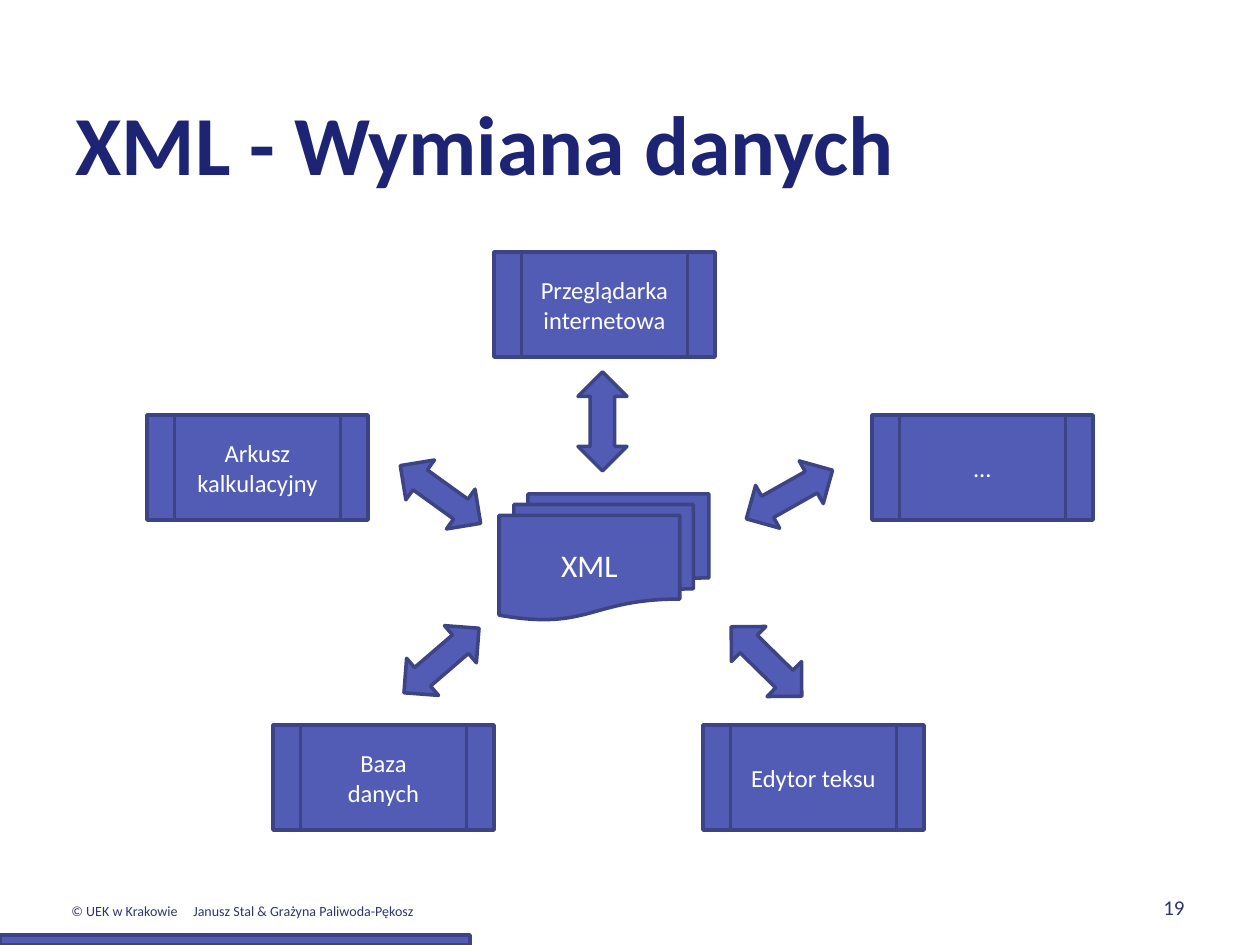
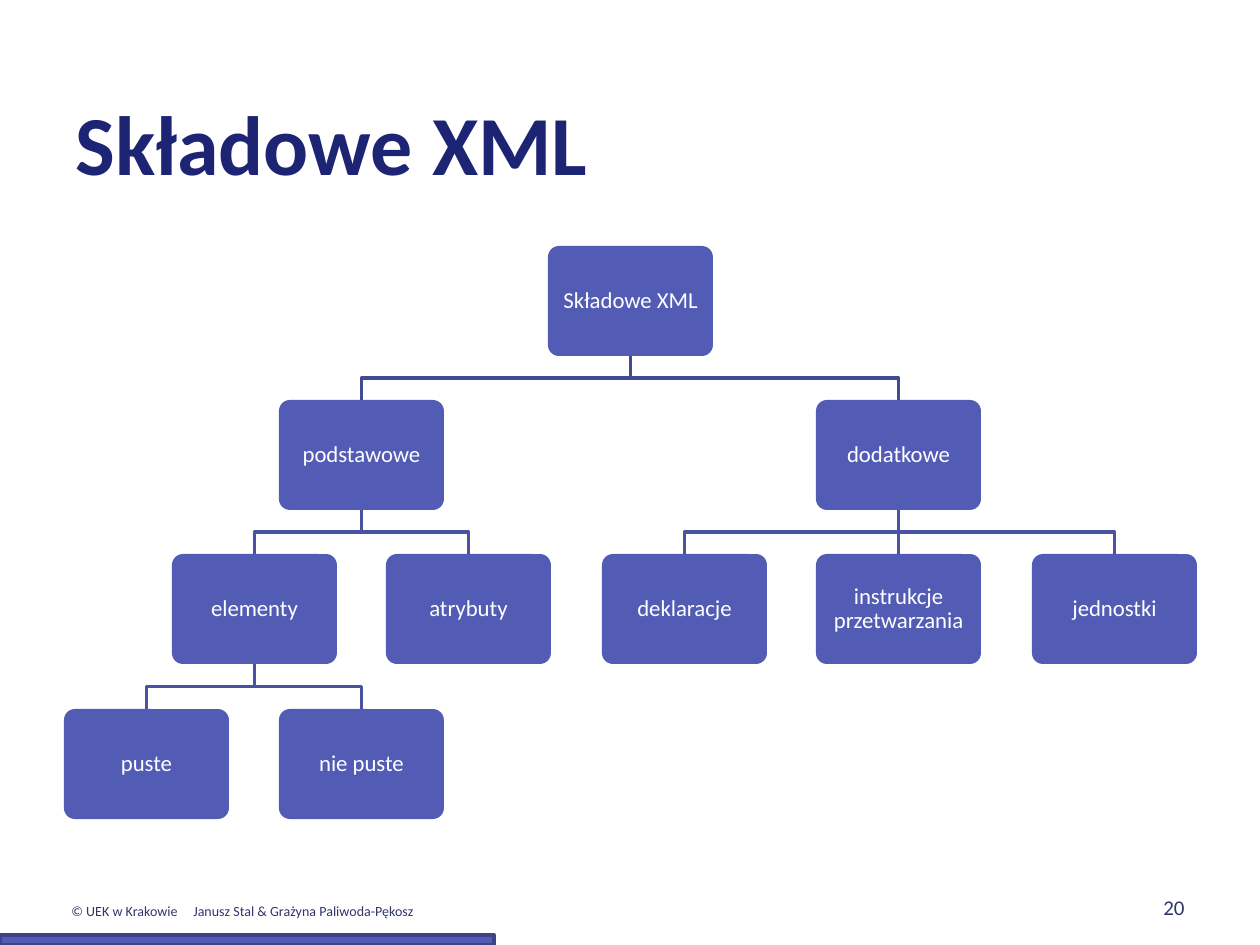
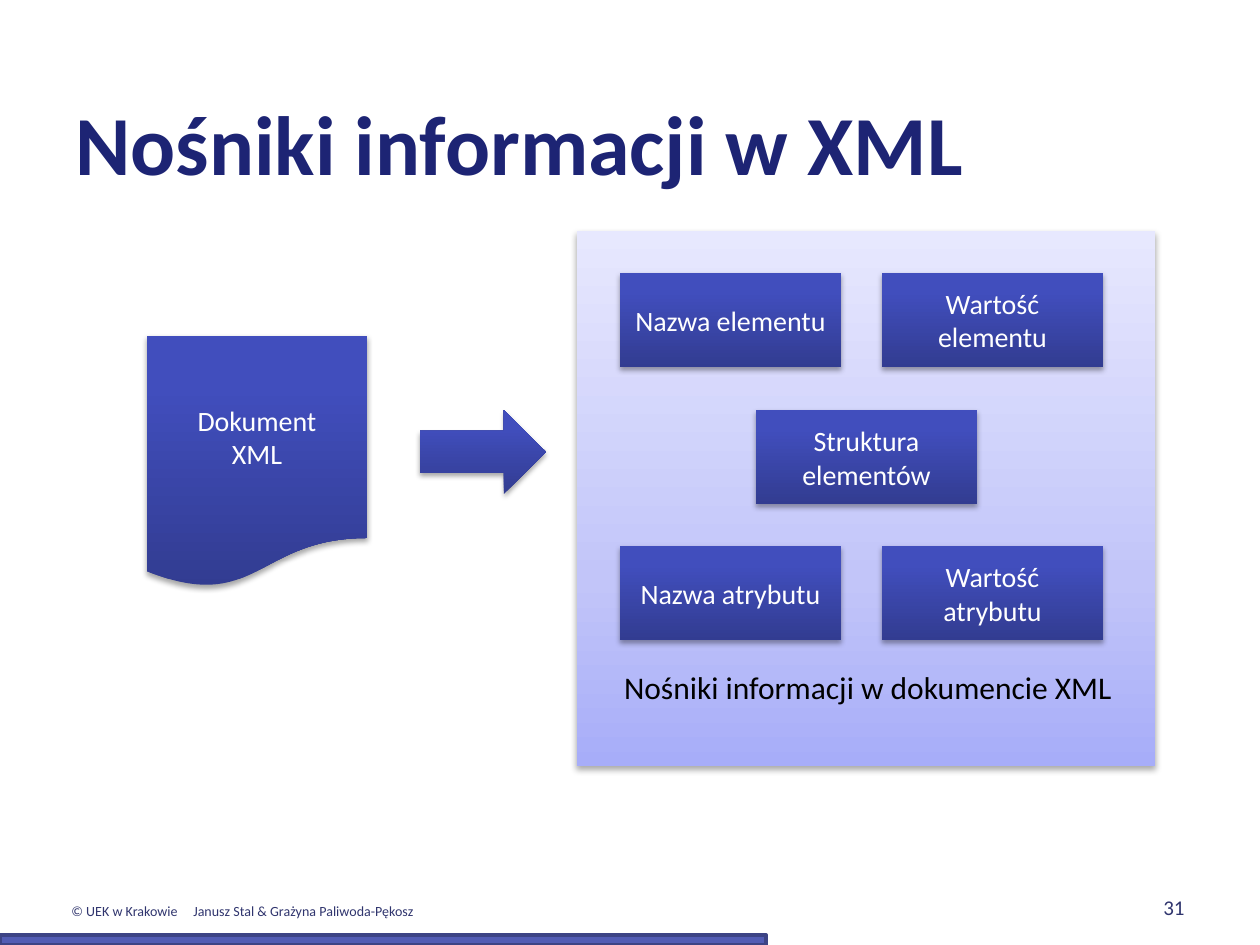
from dataclasses import dataclass

import pptx
import pptx.dml.color
import pptx.enum.shapes
import pptx.enum.text
import pptx.oxml
import pptx.oxml.ns
import pptx.util
from lxml import etree

RGBColor = pptx.dml.color.RGBColor
Shapes = pptx.enum.shapes.MSO_SHAPE
Align = pptx.enum.text.PP_ALIGN
Anchor = pptx.enum.text.MSO_ANCHOR
Pt = pptx.util.Pt
qn = pptx.oxml.ns.qn

EMU_PER_PX = 914400 / 126
FONT = "Calibri"

# Colours
WHITE = RGBColor(0xFF, 0xFF, 0xFF)
BLACK = RGBColor(0x00, 0x00, 0x00)
NAVY = RGBColor(0x1D, 0x24, 0x74)
SLATE = RGBColor(0x30, 0x35, 0x6E)
INDIGO = RGBColor(0x52, 0x5C, 0xB4)
OUTLINE = RGBColor(0x3D, 0x44, 0x85)
TOP_BRANCH = RGBColor(0x42, 0x4A, 0x90)
LOW_BRANCH = RGBColor(0x4A, 0x53, 0xA3)


@dataclass(frozen=True)
class Rect:
    left: int
    top: int
    width: int
    height: int

    def emu(self) -> list[int]:
        return [px(v) for v in (self.left, self.top, self.width, self.height)]


@dataclass(frozen=True)
class Glow:
    """Gradient stops from bottom to top, and the shadow below."""
    stops: tuple[tuple[int, RGBColor], ...]
    alpha: int
    blur: float
    distance: float


@dataclass(frozen=True)
class Arrow:
    left: int
    top: int
    rotation: float


@dataclass(frozen=True)
class Node:
    text: str
    column: float
    row: int
    parent: str = ""


DEEP = Glow(((0, RGBColor(0x32, 0x3C, 0x91)), (80, RGBColor(0x41, 0x4E, 0xBD)),
             (100, RGBColor(0x3F, 0x4C, 0xC0))), 35, 3.1, 1.8)
PALE = Glow(((0, RGBColor(0xA7, 0xAD, 0xF9)), (35, RGBColor(0xC2, 0xC5, 0xF9)),
             (100, RGBColor(0xE7, 0xE8, 0xFE))), 32, 3.5, 2.2)

# Slide 1: programs exchanging data around the XML documents
PROGRAMS = (
    ("Arkusz kalkulacyjny", 147, 415),
    ("Baza\ndanych", 273, 725),
    ("Edytor teksu", 703, 725),
    ("…", 872, 415),
    ("Przeglądarka internetowa", 494, 252),
)
EXCHANGES = (
    Arrow(578, 372, 0),
    Arrow(416, 445, 305.7),
    Arrow(742, 612, 314.5),
    Arrow(417, 611, 229.3),
    Arrow(765, 445, 240.6),
)

# Slide 2: tree of XML parts, columns counted in steps between siblings
NODES = (
    Node("Składowe XML", 2.25, 0),
    Node("podstawowe", 1, 1, "Składowe XML"),
    Node("dodatkowe", 3.5, 1, "Składowe XML"),
    Node("elementy", 0.5, 2, "podstawowe"),
    Node("atrybuty", 1.5, 2, "podstawowe"),
    Node("deklaracje", 2.5, 2, "dodatkowe"),
    Node("instrukcje przetwarzania", 3.5, 2, "dodatkowe"),
    Node("jednostki", 4.5, 2, "dodatkowe"),
    Node("puste", 0, 3, "elementy"),
    Node("nie puste", 1, 3, "elementy"),
)

# Slide 3: carriers of information
CARRIERS = (
    ("Nazwa elementu", 620, 273),
    ("Wartość elementu", 882, 273),
    ("Nazwa atrybutu", 620, 546),
    ("Wartość atrybutu", 882, 546),
    ("Struktura elementów", 756, 410),
)


def px(value: float) -> int:
    return round(value * EMU_PER_PX)


def write(frame, text: str, size: int, color: RGBColor, align=Align.LEFT,
          bold: bool = False) -> None:
    frame.text = text
    for paragraph in frame.paragraphs:
        paragraph.alignment = align
        for run in paragraph.runs:
            run.font.name = FONT
            run.font.size = Pt(size)
            run.font.bold = bold
            run.font.color.rgb = color


def add_block(slide, kind, rect: Rect, text: str = "", size: int = 14):
    """Plain indigo shape without an outline."""
    block = slide.shapes.add_shape(kind, *rect.emu())
    block.shadow.inherit = False
    block.fill.solid()
    block.fill.fore_color.rgb = INDIGO
    block.line.fill.background()
    if text:
        write(block.text_frame, text, size, WHITE, Align.CENTER)
    return block


def add_outlined(slide, kind, rect: Rect, text: str = "", size: int = 14):
    block = add_block(slide, kind, rect, text, size)
    block.line.color.rgb = OUTLINE
    block.line.width = Pt(2)
    return block


def add_glowing(slide, kind, rect: Rect, glow: Glow, text: str = ""):
    block = add_block(slide, kind, rect, text, 16)
    block.fill.gradient()
    block.fill.gradient_angle = 90
    properties = block.element.spPr
    stops = properties.find(".//" + qn("a:gsLst"))
    for stop in list(stops):
        stops.remove(stop)
    for position, color in glow.stops:
        stop = etree.SubElement(stops, qn("a:gs"), pos=str(position * 1000))
        etree.SubElement(stop, qn("a:srgbClr"), val=str(color))
    shadow = etree.SubElement(
        properties.find(qn("a:effectLst")), qn("a:outerShdw"),
        blurRad=str(Pt(glow.blur)), dist=str(Pt(glow.distance)),
        dir="5400000", rotWithShape="0")
    shade = etree.SubElement(shadow, qn("a:srgbClr"), val=str(BLACK))
    etree.SubElement(shade, qn("a:alpha"), val=str(glow.alpha * 1000))
    return block


def add_label(slide, rect: Rect, text: str, size: int, color: RGBColor,
              align=Align.LEFT, anchor=Anchor.TOP, wrap: bool = True):
    label = slide.shapes.add_textbox(*rect.emu())
    label.text_frame.word_wrap = wrap
    label.text_frame.vertical_anchor = anchor
    write(label.text_frame, text, size, color, align)
    return label


def add_slide(deck, heading: str, number: int, progress: int):
    """Slide with the shared title, footer, number and progress bar."""
    slide = deck.slides.add_slide(deck.slide_layouts[5])
    title = slide.shapes.title
    title.left, title.top, title.width, title.height = Rect(63, 42, 1134, 157).emu()
    title.text_frame.vertical_anchor = Anchor.BOTTOM
    title.text_frame.auto_size = pptx.enum.text.MSO_AUTO_SIZE.NONE
    write(title.text_frame, heading, 48, NAVY, bold=True)

    footer = add_label(slide, Rect(59, 896, 393, 30),
                       "© UEK w Krakowie\tJanusz Stal & Grażyna Paliwoda-Pękosz",
                       8, SLATE)
    tabs = etree.SubElement(footer.text_frame.paragraphs[0]._p.get_or_add_pPr(),
                            qn("a:tabLst"))
    etree.SubElement(tabs, qn("a:tab"), pos=str(px(122)), algn="l")

    add_label(slide, Rect(903, 861, 294, 65), str(number), 12, SLATE,
              Align.RIGHT, Anchor.BOTTOM)
    add_outlined(slide, Shapes.RECTANGLE, Rect(0, 935, progress, 10))
    return slide


def build_exchange(deck) -> None:
    slide = add_slide(deck, "XML - Wymiana danych", 19, 470)
    add_outlined(slide, Shapes.FLOWCHART_MULTIDOCUMENT,
                 Rect(499, 494, 210, 126), "XML", 18)
    for program, left, top in PROGRAMS:
        add_outlined(slide, Shapes.FLOWCHART_PREDEFINED_PROCESS,
                     Rect(left, top, 221, 105), program)
    for exchange in EXCHANGES:
        arrow = add_outlined(slide, Shapes.UP_DOWN_ARROW,
                             Rect(exchange.left, exchange.top, 49, 99))
        arrow.rotation = exchange.rotation


def add_node(slide, node: Node):
    rect = Rect(64 + round(215 * node.column), 246 + 463 * node.row // 3, 165, 110)
    box = add_block(slide, Shapes.ROUNDED_RECTANGLE, rect, node.text, 13)
    box.adjustments[0] = 0.1
    frame = box.text_frame
    frame.margin_left = frame.margin_right = px(6)
    frame.margin_top = frame.margin_bottom = px(6)
    frame.paragraphs[0].line_spacing = 0.9
    return box


def add_branch(slide, parent, child, color: RGBColor) -> None:
    start_x, start_y = parent.left + parent.width // 2, parent.top + parent.height
    end_x, end_y = child.left + child.width // 2, child.top
    if start_x == end_x:
        branch = slide.shapes.add_connector(
            pptx.enum.shapes.MSO_CONNECTOR.STRAIGHT, start_x, start_y, end_x, end_y)
        branch.begin_connect(parent, 2)
        branch.end_connect(child, 0)
        etree.SubElement(branch.element.spPr, qn("a:effectLst"))
    else:
        middle = (start_y + end_y) // 2
        outline = slide.shapes.build_freeform(start_x, start_y)
        outline.add_line_segments(
            [(start_x, middle), (end_x, middle), (end_x, end_y)], close=False)
        branch = outline.convert_to_shape()
        branch.shadow.inherit = False
        branch.fill.background()
    branch.line.color.rgb = color
    branch.line.width = Pt(2)


def build_tree(deck) -> None:
    slide = add_slide(deck, "Składowe XML", 20, 494)
    boxes = {node.text: add_node(slide, node) for node in NODES}
    for node in NODES:
        if node.parent:
            color = TOP_BRANCH if node.row == 1 else LOW_BRANCH
            add_branch(slide, boxes[node.parent], boxes[node.text], color)


def build_carriers(deck) -> None:
    slide = add_slide(deck, "Nośniki informacji w XML", 31, 766)
    add_glowing(slide, Shapes.RECTANGLE, Rect(577, 231, 578, 535), PALE)
    add_glowing(slide, Shapes.FLOWCHART_DOCUMENT, Rect(147, 336, 220, 252),
                DEEP, "Dokument\vXML")
    for carrier, left, top in CARRIERS:
        add_glowing(slide, Shapes.FLOWCHART_PROCESS, Rect(left, top, 221, 94),
                    DEEP, carrier)
    add_glowing(slide, Shapes.RIGHT_ARROW, Rect(420, 410, 126, 84), DEEP)
    add_label(slide, Rect(601, 662, 534, 50), "Nośniki informacji w dokumencie XML",
              18, BLACK, Align.CENTER, wrap=False)


def main() -> None:
    deck = pptx.Presentation()
    deck.slide_width, deck.slide_height = px(1260), px(945)
    build_exchange(deck)
    build_tree(deck)
    build_carriers(deck)
    deck.save("out.pptx")


if __name__ == "__main__":
    main()
